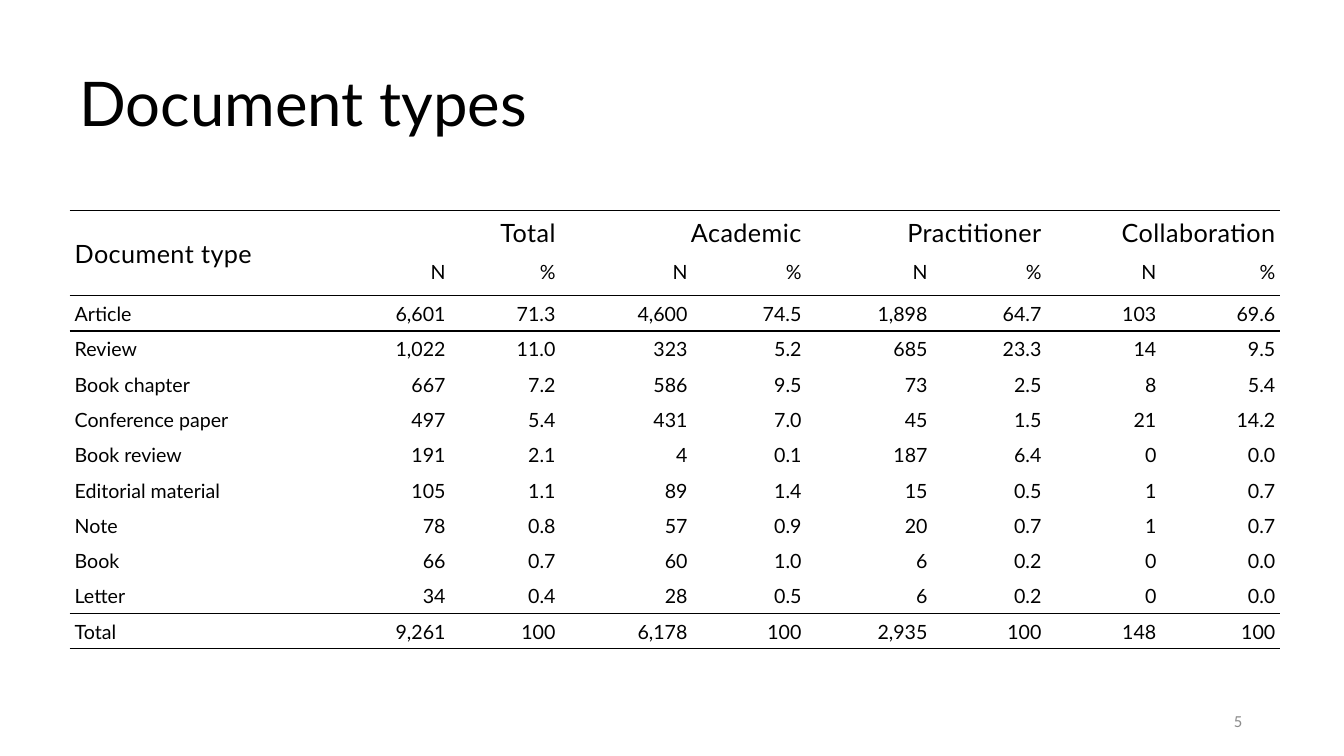
from dataclasses import dataclass

from lxml.etree import SubElement
from pptx import Presentation
from pptx.dml.color import RGBColor as Color
from pptx.enum.text import MSO_ANCHOR as Anchor, PP_ALIGN as Align
from pptx.oxml.ns import qn
from pptx.util import Inches, Pt


@dataclass(frozen=True)
class Theme:
    ink: str = "000000"
    paper: str = "FFFFFF"
    muted: str = "8C8C8C"
    font: str = "Lato"
    number_font: str = "Calibri"
    title_size: int = 44
    heading_size: int = 18
    body_size: int = 14
    number_size: int = 12


COLUMN_WIDTHS = [2.5, 1.28, 1.09, 1.31, 1.13, 1.25, 1.13, 1.14, 1.18]
GROUPS = ["Total", "Academic", "Practitioner", "Collaboration"]
DOCUMENT_ROWS = [
    ["Article", "6,601", "71.3", "4,600", "74.5", "1,898", "64.7", "103", "69.6"],
    ["Review", "1,022", "11.0", "323", "5.2", "685", "23.3", "14", "9.5"],
    ["Book chapter", "667", "7.2", "586", "9.5", "73", "2.5", "8", "5.4"],
    ["Conference paper", "497", "5.4", "431", "7.0", "45", "1.5", "21", "14.2"],
    ["Book review", "191", "2.1", "4", "0.1", "187", "6.4", "0", "0.0"],
    ["Editorial material", "105", "1.1", "89", "1.4", "15", "0.5", "1", "0.7"],
    ["Note", "78", "0.8", "57", "0.9", "20", "0.7", "1", "0.7"],
    ["Book", "66", "0.7", "60", "1.0", "6", "0.2", "0", "0.0"],
    ["Letter", "34", "0.4", "28", "0.5", "6", "0.2", "0", "0.0"],
    ["Total", "9,261", "100", "6,178", "100", "2,935", "100", "148", "100"],
]
# Row boundary -> width of the horizontal rule in points
RULES = {0: 1, 2: 1, 3: 1.5, 11: 1, 12: 1}


def write_text(frame, text, *, size, font, color, align=Align.LEFT,
               line_spacing=1.0, space_after=0, tracking=0):
    paragraph = frame.paragraphs[0]
    paragraph.alignment = align
    paragraph.line_spacing = line_spacing
    paragraph.space_after = Pt(space_after)
    run = paragraph.add_run()
    run.text = text
    run.font.size = Pt(size)
    run.font.name = font
    run.font.color.rgb = Color.from_string(color)
    if tracking:
        run.font._element.set("spc", str(round(tracking * 100)))


class SlideBuilder:
    def __init__(self, slide, theme):
        self.slide = slide
        self.theme = theme
        slide.background.fill.solid()
        slide.background.fill.fore_color.rgb = Color.from_string(theme.paper)

    def text_box(self, left, top, width, height, text, **text_format):
        shape = self.slide.shapes.add_textbox(
            Inches(left), Inches(top), Inches(width), Inches(height))
        shape.text_frame.word_wrap = True
        shape.text_frame.vertical_anchor = Anchor.MIDDLE
        write_text(shape.text_frame, text, **text_format)

    def border(self, cell, side, width):
        properties = cell._tc.get_or_add_tcPr()
        line = SubElement(properties, qn(f"a:ln{side}"), w=str(Pt(width)))
        if width:
            fill = SubElement(line, qn("a:solidFill"))
            SubElement(fill, qn("a:srgbClr"), val=self.theme.ink)
        else:
            SubElement(line, qn("a:noFill"))

    def style_cell(self, cell, top_rule, bottom_rule):
        cell.margin_left = cell.margin_right = Inches(0.05)
        cell.margin_top = cell.margin_bottom = Inches(0.05)
        for side, width in zip("LRTB", (0, 0, top_rule, bottom_rule)):
            self.border(cell, side, width)
        cell.fill.solid()
        cell.fill.fore_color.rgb = Color.from_string(self.theme.paper)

    def cell_text(self, cell, text, heading=False, align=Align.RIGHT,
                  anchor=Anchor.TOP):
        theme = self.theme
        cell.vertical_anchor = anchor
        write_text(cell.text_frame, text, font=theme.font, color=theme.ink,
                   size=theme.heading_size if heading else theme.body_size,
                   tracking=0.3 if heading else 0, align=align,
                   line_spacing=1.07, space_after=12)

    def document_table(self, left, top, width, height):
        row_count = len(DOCUMENT_ROWS) + 2
        graphic = self.slide.shapes.add_table(
            row_count, len(COLUMN_WIDTHS),
            Inches(left), Inches(top), Inches(width), Inches(height))
        table = graphic.table
        table.first_row = table.horz_banding = False
        for column, column_width in zip(table.columns, COLUMN_WIDTHS):
            column.width = Inches(column_width)
        for index, row in enumerate(table.rows):
            row.height = Inches(0.27 if index else 0.35)
            for column_index, cell in enumerate(row.cells):
                # The first heading spans both header rows
                end = 2 if index == 0 and column_index == 0 else index + 1
                self.style_cell(cell, RULES.get(index, 0), RULES.get(end, 0))
        graphic.height = Inches(height)

        # Two-level header
        table.cell(0, 0).merge(table.cell(1, 0))
        self.cell_text(table.cell(0, 0), "Document type", heading=True,
                       align=Align.LEFT, anchor=Anchor.MIDDLE)
        for index, group in enumerate(GROUPS):
            first = 1 + 2 * index
            table.cell(0, first).merge(table.cell(0, first + 1))
            self.cell_text(table.cell(0, first), group, heading=True,
                           anchor=Anchor.MIDDLE)
            for offset, label in enumerate(("N", "%")):
                self.cell_text(table.cell(1, first + offset), label)

        # Counts and shares
        for row_index, values in enumerate(DOCUMENT_ROWS, start=2):
            for column_index, value in enumerate(values):
                is_total = row_index == row_count - 1 and column_index > 0
                middle = is_total or column_index % 2 == 1
                self.cell_text(
                    table.cell(row_index, column_index), value,
                    align=Align.RIGHT if column_index else Align.LEFT,
                    anchor=Anchor.MIDDLE if middle else Anchor.TOP)


def main():
    presentation = Presentation()
    presentation.slide_width = Inches(13.33)
    presentation.slide_height = Inches(7.5)
    theme = Theme()
    slide = presentation.slides.add_slide(presentation.slide_layouts[6])
    builder = SlideBuilder(slide, theme)

    # Title
    builder.text_box(0.69, 0.34, 11.94, 1.44, "Document types",
                     size=theme.title_size, font=theme.font, color=theme.ink,
                     line_spacing=0.9)
    # Table
    builder.document_table(0.69, 2.09, 12.02, 4.16)
    # Slide number
    builder.text_box(9.42, 6.95, 3, 0.4, "5", size=theme.number_size,
                     font=theme.number_font, color=theme.muted,
                     align=Align.RIGHT)

    presentation.save("out.pptx")


if __name__ == "__main__":
    main()
